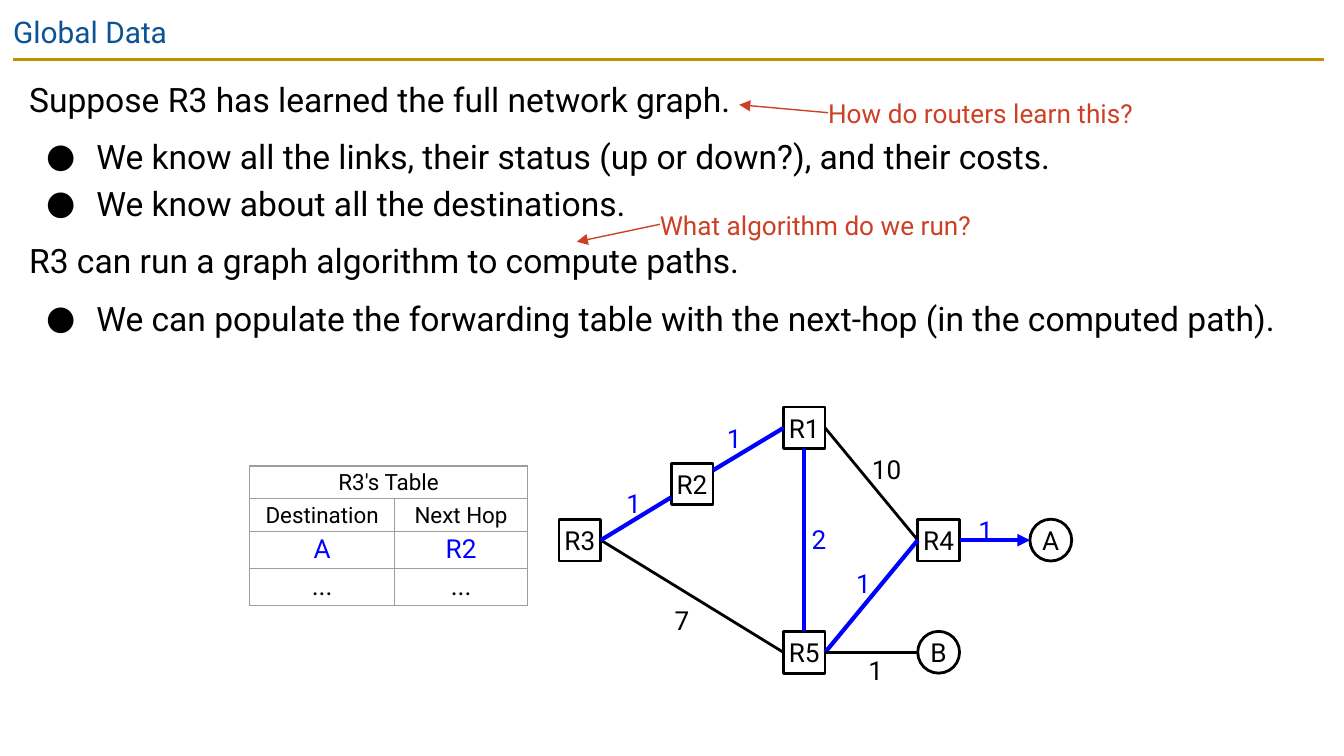
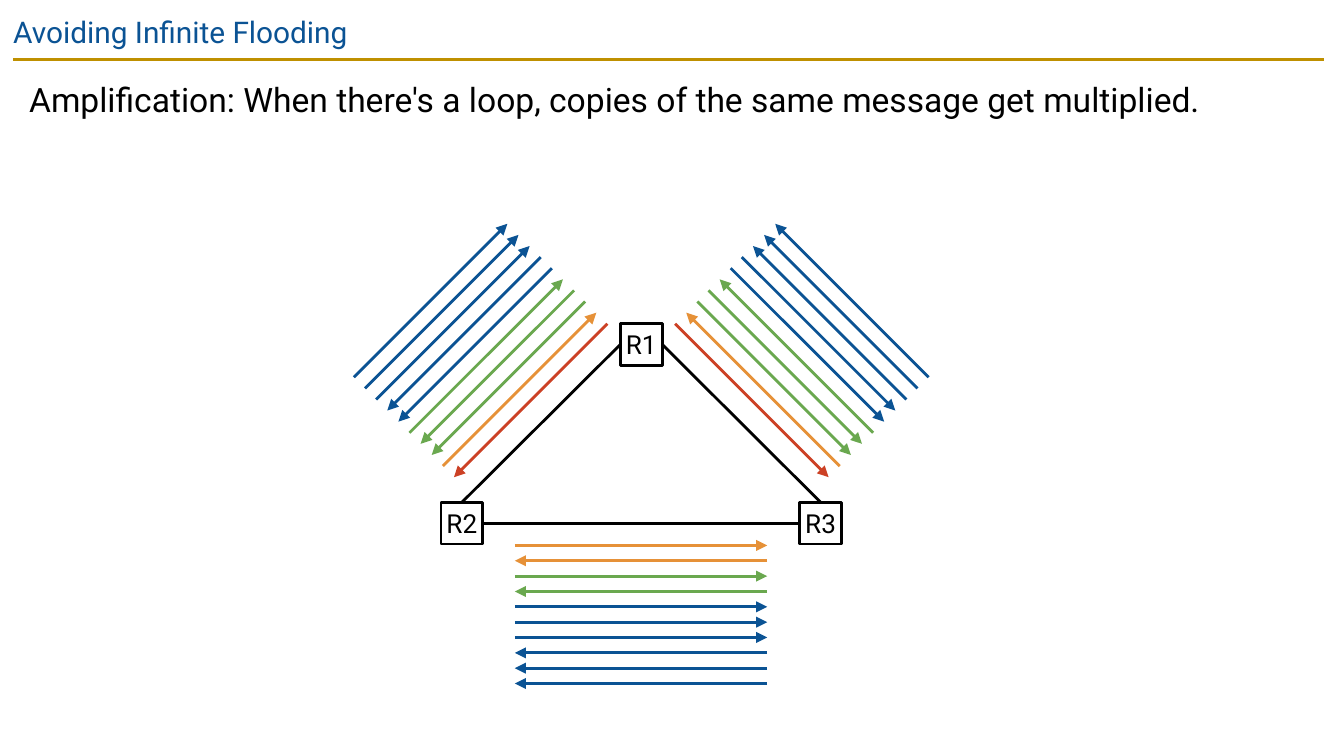
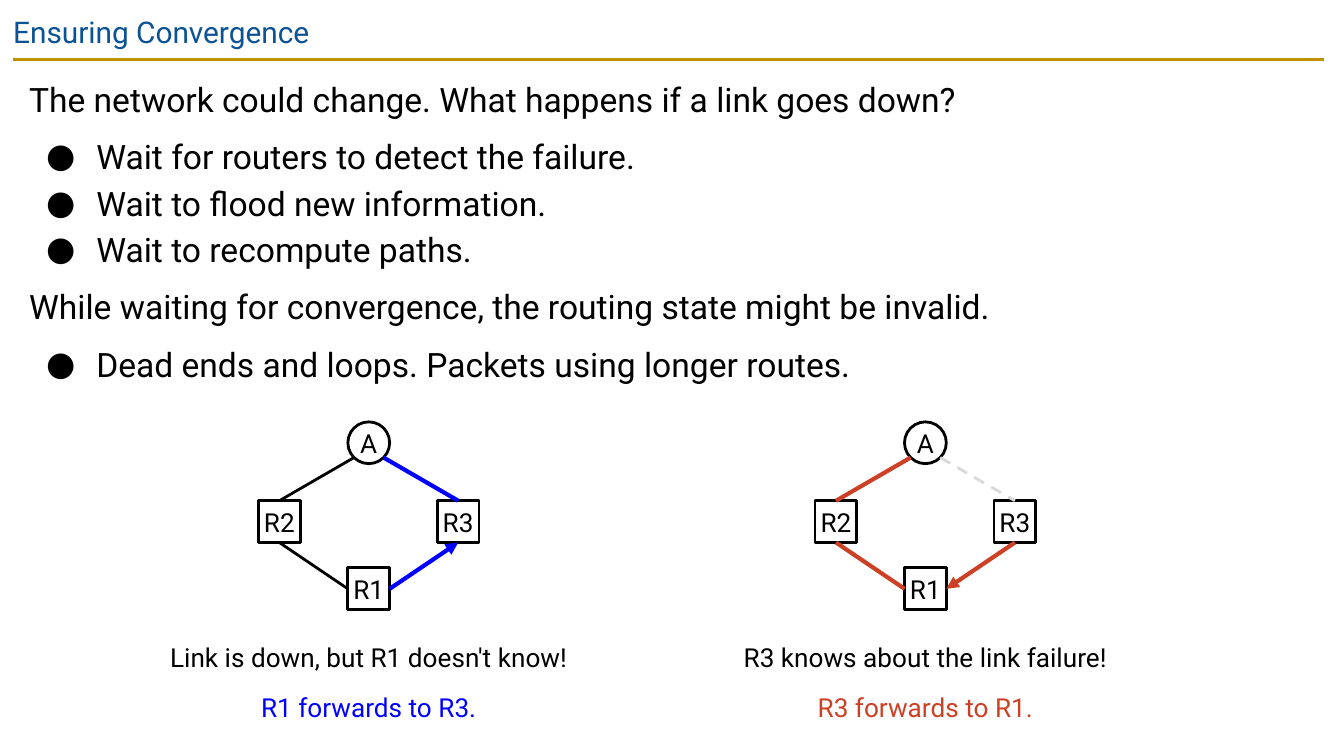
from dataclasses import dataclass
from typing import Any, NamedTuple

from lxml.etree import SubElement
from pptx import Presentation
from pptx.dml.color import RGBColor as Rgb
from pptx.enum.dml import MSO_LINE as Dash
from pptx.enum.shapes import MSO_CONNECTOR as Connector
from pptx.enum.shapes import MSO_SHAPE as Preset
from pptx.enum.text import MSO_ANCHOR as Anchor
from pptx.enum.text import MSO_AUTO_SIZE as AutoSize
from pptx.enum.text import PP_ALIGN as Align
from pptx.oxml.ns import qn
from pptx.util import Cm, Pt


@dataclass(frozen=True)
class Theme:
    font: str = "Roboto"
    black: str = "000000"
    white: str = "FFFFFF"
    navy: str = "0B5394"
    gold: str = "BF9000"
    blue: str = "0000FF"
    red: str = "CC4125"
    orange: str = "E69138"
    green: str = "6AA84F"
    pale: str = "D9D9D9"
    grid: str = "9E9E9E"
    title_size: float = 16
    body_size: float = 18
    label_size: float = 14
    table_size: float = 12
    thin: float = 0.75
    normal: float = 1.5
    bold: float = 2.25
    leading: float = 1.15


THEME = Theme()
NODE_SIZE = 0.79
TOP, LEFT, BOTTOM, RIGHT = range(4)


class Port(NamedTuple):
    """The middle of one side of a router box."""
    router: Any
    side: int


class Stroke(NamedTuple):
    color: str = THEME.black
    width: float = THEME.normal
    arrow: bool = False
    dashed: bool = False


PLAIN = Stroke()
ROUTE = Stroke(THEME.blue, THEME.bold)
DETOUR = Stroke(THEME.red, THEME.bold)


# Text
def add_run(paragraph, text, size, color=THEME.black):
    run = paragraph.add_run()
    run.text = text
    run.font.name = THEME.font
    run.font.size = Pt(size)
    run.font.color.rgb = Rgb.from_string(color)


def set_insets(frame, inset):
    frame.margin_left = frame.margin_top = Cm(inset)
    frame.margin_right = frame.margin_bottom = Cm(inset)


def add_label(slide, lines, left, top, width, align=Align.LEFT, leading=None):
    """Text box without insets; lines holds (text, colour) pairs."""
    box = slide.shapes.add_textbox(Cm(left), Cm(top), Cm(width), Cm(0.61))
    frame = box.text_frame
    frame.word_wrap = True
    frame.auto_size = AutoSize.SHAPE_TO_FIT_TEXT
    set_insets(frame, 0)
    for number, (text, color) in enumerate(lines):
        paragraph = frame.add_paragraph() if number else frame.paragraphs[0]
        paragraph.alignment = align
        if leading:
            paragraph.line_spacing = leading
        if number:
            paragraph.space_before = Pt(10)
        add_run(paragraph, text, THEME.label_size, color)


def add_bullet(paragraph):
    props = paragraph._p.get_or_add_pPr()
    props.set("marL", str(Cm(1.27)))
    props.set("indent", str(Cm(-0.95)))
    color = SubElement(props, qn("a:buClr"))
    SubElement(color, qn("a:srgbClr"), val=THEME.black)
    SubElement(props, qn("a:buFont"), typeface=THEME.font)
    SubElement(props, qn("a:buChar"), char="●")


def remove_bullet(paragraph):
    props = paragraph._p.get_or_add_pPr()
    props.set("marL", "0")
    props.set("indent", "0")
    SubElement(props, qn("a:buNone"))


# Title and body placeholders
def fill_placeholder(holder, left, top, width, height):
    holder.left, holder.top = Cm(left), Cm(top)
    holder.width, holder.height = Cm(width), Cm(height)
    frame = holder.text_frame
    frame.word_wrap = True
    frame.auto_size = AutoSize.NONE
    frame.vertical_anchor = Anchor.TOP
    set_insets(frame, 0.25)
    return frame


def add_body(holder, sections, height):
    """Each section is a lead sentence with its bullets."""
    frame = fill_placeholder(holder, 0.3, 1.12, 24.74, height)
    paragraph = None
    for lead, bullets in sections:
        for number, text in enumerate([lead, *bullets]):
            first = paragraph is None
            paragraph = frame.paragraphs[0] if first else frame.add_paragraph()
            paragraph.alignment = Align.LEFT
            paragraph.line_spacing = THEME.leading
            paragraph.space_before = Pt(0 if first or number > 1 else 6)
            if number:
                add_bullet(paragraph)
            else:
                remove_bullet(paragraph)
            add_run(paragraph, text, THEME.body_size)


def new_slide(deck, layout, title, sections, body_height):
    slide = deck.slides.add_slide(layout)
    heading = fill_placeholder(slide.shapes.title, 0, 0, 25.4, 1.09).paragraphs[0]
    heading.alignment = Align.LEFT
    add_run(heading, title, THEME.title_size, THEME.navy)
    add_body(slide.placeholders[1], sections, body_height)
    return slide


# Network parts
def add_node(slide, name, x, y, preset=Preset.RECTANGLE, filled=True):
    """Router box or host circle centred on x, y."""
    node = slide.shapes.add_shape(preset, Cm(x - NODE_SIZE / 2), Cm(y - NODE_SIZE / 2),
                                  Cm(NODE_SIZE), Cm(NODE_SIZE))
    node.shadow.inherit = False
    if filled:
        node.fill.solid()
        node.fill.fore_color.rgb = Rgb.from_string(THEME.white)
    else:
        node.fill.background()
    node.line.color.rgb = Rgb.from_string(THEME.black)
    node.line.width = Pt(THEME.normal)
    frame = node.text_frame
    frame.vertical_anchor = Anchor.MIDDLE
    set_insets(frame, 0)
    frame.paragraphs[0].alignment = Align.CENTER
    add_run(frame.paragraphs[0], name, THEME.label_size)
    return node


def spot(end):
    if isinstance(end, Port):
        return end.router.left, end.router.top
    return Cm(end[0]), Cm(end[1])


def add_link(slide, start, end, stroke=PLAIN):
    """Straight line between two ends, each a Port or an (x, y) point."""
    link = slide.shapes.add_connector(Connector.STRAIGHT, *spot(start), *spot(end))
    if isinstance(start, Port):
        link.begin_connect(*start)
    if isinstance(end, Port):
        link.end_connect(*end)
    link.line.color.rgb = Rgb.from_string(stroke.color)
    link.line.width = Pt(stroke.width)
    if stroke.dashed:
        link.line.dash_style = Dash.DASH
    if stroke.arrow:
        SubElement(link.line._get_or_add_ln(), qn("a:tailEnd"), type="triangle")
    SubElement(link._element.spPr, qn("a:effectLst"))
    return link


def add_callout(slide, question, left, top, tip):
    add_link(slide, (left, top + 0.28), tip, Stroke(THEME.red, THEME.thin, arrow=True))
    add_label(slide, [(question, THEME.red)], left, top, 5.89)


# Forwarding table
def style_cell(cell, text, size, color):
    cell.vertical_anchor = Anchor.MIDDLE
    cell.margin_left = cell.margin_right = 0
    cell.margin_top = cell.margin_bottom = Cm(0.05)
    cell.fill.background()
    props = cell._tc.get_or_add_tcPr()
    for place, edge in enumerate(("a:lnL", "a:lnR", "a:lnT", "a:lnB")):
        border = SubElement(props, qn(edge), w=str(Pt(THEME.thin)))
        paint = SubElement(border, qn("a:solidFill"))
        SubElement(paint, qn("a:srgbClr"), val=THEME.grid)
        props.insert(place, border)
    if text:
        paragraph = cell.text_frame.paragraphs[0]
        paragraph.alignment = Align.CENTER
        add_run(paragraph, text, size, color)


def add_forwarding_table(slide):
    rows = [
        (("R3's Table", ""), 0.62, THEME.table_size, THEME.black),
        (("Destination", "Next Hop"), 0.62, THEME.table_size, THEME.black),
        (("A", "R2"), 0.69, THEME.label_size, THEME.blue),
        (("...", "..."), 0.69, THEME.label_size, THEME.black),
    ]
    table = slide.shapes.add_table(4, 2, Cm(4.72), Cm(8.81), Cm(5.25), Cm(2.62)).table
    table.first_row = table.horz_banding = False
    table.columns[0].width, table.columns[1].width = Cm(2.74), Cm(2.51)
    table.cell(0, 0).merge(table.cell(0, 1))
    for row, (texts, height, size, color) in enumerate(rows):
        table.rows[row].height = Cm(height)
        for column, text in enumerate(texts):
            style_cell(table.cell(row, column), text, size, color)


# Slide 1
def build_global_data(deck, layout):
    slide = new_slide(deck, layout, "Global Data", [
        ("Suppose R3 has learned the full network graph.",
         ["We know all the links, their status (up or down?), and their costs.",
          "We know about all the destinations."]),
        ("R3 can run a graph algorithm to compute paths.",
         ["We can populate the forwarding table with the next-hop (in the computed path)."]),
    ], 6.02)

    # Nodes
    mid_y, step_x, step_y = 10.21, 2.12, 1.06
    r3_x = 10.96
    r1_x = r3_x + 2 * step_x
    r4_x = r1_x + 2.54
    low_y = mid_y + 2 * step_y
    r3 = add_node(slide, "R3", r3_x, mid_y)
    add_node(slide, "R2", r3_x + step_x, mid_y - step_y)
    r1 = add_node(slide, "R1", r1_x, mid_y - 2 * step_y)
    r5 = add_node(slide, "R5", r1_x, low_y)
    r4 = add_node(slide, "R4", r4_x, mid_y)
    a_x = r4_x + step_x
    add_node(slide, "A", a_x, mid_y, Preset.OVAL)
    add_node(slide, "B", r4_x, low_y, Preset.OVAL)

    # Links
    half = NODE_SIZE / 2
    for start, end, stroke in [
        ((r3_x + step_x + half, 8.89), Port(r1, LEFT), ROUTE),
        (Port(r3, RIGHT), Port(r5, LEFT), PLAIN),
        (Port(r5, TOP), Port(r1, BOTTOM), ROUTE),
        (Port(r4, LEFT), Port(r1, RIGHT), PLAIN),
        (Port(r5, RIGHT), Port(r4, LEFT), ROUTE),
        (Port(r3, RIGHT), (r3_x + step_x - half, 9.4), ROUTE),
        (Port(r4, RIGHT), (a_x - half, mid_y), ROUTE._replace(arrow=True)),
        (Port(r5, RIGHT), (r4_x - half, low_y), PLAIN),
    ]:
        add_link(slide, start, end, stroke)

    # Link costs
    for cost, color, left, top in [
        ("1", THEME.blue, 18.49, 9.63),
        ("1", THEME.blue, 11.84, 9.12),
        ("1", THEME.blue, 13.74, 7.9),
        ("7", THEME.black, 12.75, 11.33),
        ("2", THEME.blue, 15.34, 9.8),
        ("1", THEME.blue, 16.18, 10.64),
        ("10", THEME.black, 16.48, 8.48),
        ("1", THEME.black, 16.41, 12.29),
    ]:
        add_label(slide, [(cost, color)], left, top, 0.33 * len(cost) + 0.05,
                  leading=THEME.leading)

    add_forwarding_table(slide)
    add_callout(slide, "How do routers learn this?", 15.65, 1.85, (13.97, 1.98))
    add_callout(slide, "What algorithm do we run?", 12.47, 3.96, (10.9, 4.57))
    return slide


# Slide 2
def add_copies(slide, near, far, step, copies):
    """Parallel arrows; each group is (colour, towards far end?, count)."""
    order = [(color, outward) for color, outward, count in copies for _ in range(count)]
    for number, (color, outward) in enumerate(order):
        start, end = [(x + number * step[0], y + number * step[1]) for x, y in (near, far)]
        if not outward:
            start, end = end, start
        add_link(slide, start, end, Stroke(color, arrow=True))


def build_flooding(deck, layout):
    slide = new_slide(deck, layout, "Avoiding Infinite Flooding", [
        ("Amplification: When there's a loop, copies of the same message get multiplied.", []),
    ], 1.78)

    # Router triangle
    center_x, reach, base_y = 12.12, 3.39, 9.89
    r1 = add_node(slide, "R1", center_x, 6.51, filled=False)
    r2 = add_node(slide, "R2", center_x - reach, base_y, filled=False)
    r3 = add_node(slide, "R3", center_x + reach, base_y, filled=False)
    add_link(slide, Port(r2, RIGHT), Port(r3, LEFT))
    add_link(slide, Port(r2, TOP), Port(r1, LEFT))
    add_link(slide, Port(r1, RIGHT), Port(r3, TOP))

    # Message copies along each link
    from_r1 = [(THEME.red, True, 1), (THEME.orange, False, 1), (THEME.green, True, 2),
               (THEME.green, False, 1), (THEME.navy, True, 2), (THEME.navy, False, 3)]
    for side in (-1, 1):
        add_copies(slide, (center_x + side * 0.64, 6.12), (center_x + side * 3.54, 9.02),
                   (side * 0.21, -0.21), from_r1)
    from_r2 = [(THEME.orange, True, 1), (THEME.orange, False, 1), (THEME.green, True, 1),
               (THEME.green, False, 1), (THEME.navy, True, 3), (THEME.navy, False, 3)]
    add_copies(slide, (9.73, 10.31), (14.5, 10.31), (0, 0.29), from_r2)


# Slide 3
def add_scenario(slide, center_x, west, east, forward_from_r1, situation, action, color):
    """Diamond of A, R2, R3 and R1 with its caption."""
    reach, a_y, middle_y = 1.69, 8.37, 9.86
    r2 = add_node(slide, "R2", center_x - reach, middle_y)
    r1 = add_node(slide, "R1", center_x, 11.13)
    r3 = add_node(slide, "R3", center_x + reach, middle_y)
    add_node(slide, "A", center_x, a_y, Preset.OVAL)

    add_link(slide, Port(r2, BOTTOM), Port(r1, LEFT), west)
    hop = [Port(r1, RIGHT), Port(r3, BOTTOM)]
    if not forward_from_r1:
        hop.reverse()
    add_link(slide, *hop, Stroke(color, THEME.bold, arrow=True))
    rim = 0.28
    add_link(slide, (center_x - rim, a_y + rim), Port(r2, TOP), west)
    add_link(slide, (center_x + rim, a_y + rim), Port(r3, TOP), east)

    add_label(slide, [(situation, THEME.black), (action, color)],
              center_x - 3.96, 12.12, 7.92, Align.CENTER)


def build_convergence(deck, layout):
    slide = new_slide(deck, layout, "Ensuring Convergence", [
        ("The network could change. What happens if a link goes down?",
         ["Wait for routers to detect the failure.",
          "Wait to flood new information.",
          "Wait to recompute paths."]),
        ("While waiting for convergence, the routing state might be invalid.",
         ["Dead ends and loops. Packets using longer routes."]),
    ], 6.5)
    add_scenario(slide, 6.97, PLAIN, ROUTE, True,
                 "Link is down, but R1 doesn't know!", "R1 forwards to R3.", THEME.blue)
    add_scenario(slide, 17.49, DETOUR, Stroke(THEME.pale, dashed=True), False,
                 "R3 knows about the link failure!", "R3 forwards to R1.", THEME.red)


def add_title_rule(slide, layout):
    """Move the gold rule into the layout that all slides share."""
    rule = add_link(slide, (0.25, 1.12), (25.02, 1.12), Stroke(THEME.gold))
    rule.element.nvCxnSpPr.cNvPr.set("id", "20")
    layout.shapes.element.append(rule.element)


def main():
    deck = Presentation()
    deck.slide_width, deck.slide_height = Cm(25.4), Cm(14.29)
    layout = deck.slide_layouts[1]
    first = build_global_data(deck, layout)
    add_title_rule(first, layout)
    build_flooding(deck, layout)
    build_convergence(deck, layout)
    deck.save("out.pptx")


if __name__ == "__main__":
    main()
